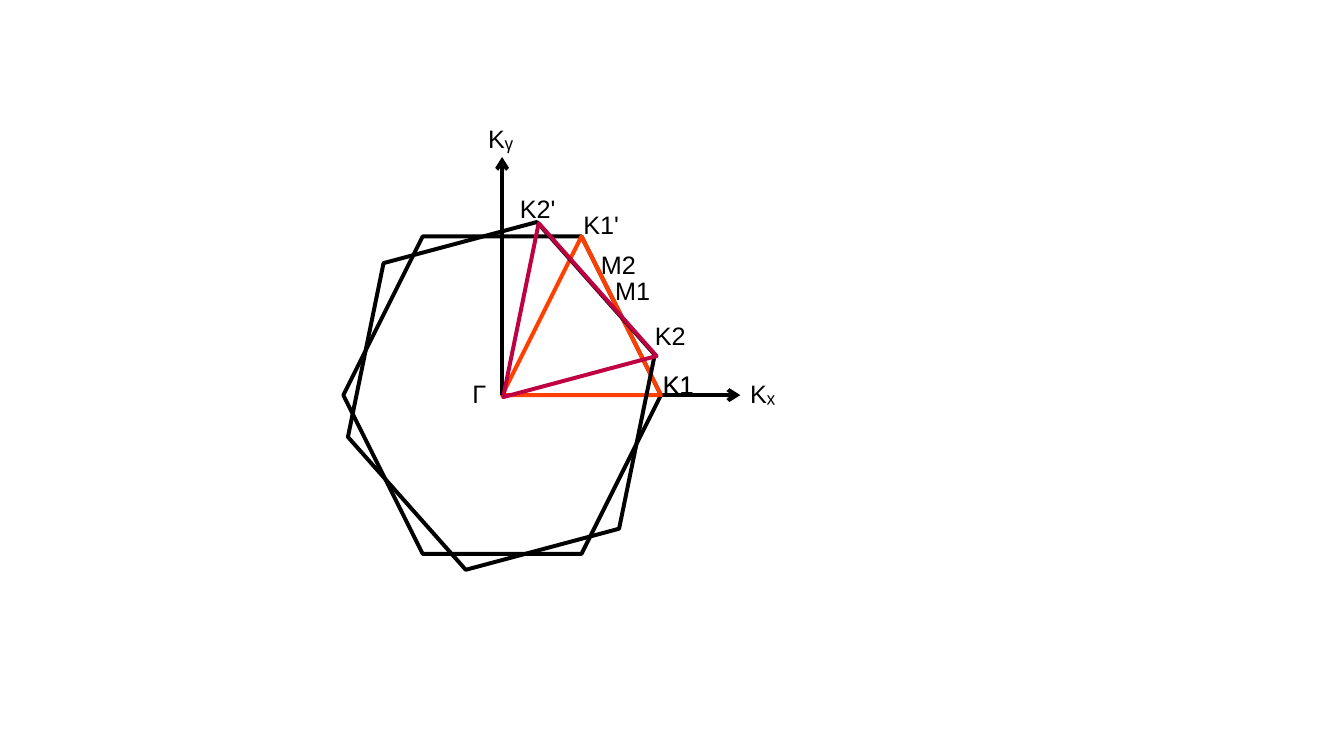
from lxml.etree import SubElement
from pptx import Presentation
from pptx.dml.color import RGBColor
from pptx.enum.shapes import MSO_CONNECTOR
from pptx.enum.text import MSO_AUTO_SIZE as AutoSize
from pptx.oxml.ns import qn
from pptx.util import Inches, Pt

BLACK = RGBColor(0x00, 0x00, 0x00)
ORANGE = RGBColor(0xFF, 0x40, 0x00)
CRIMSON = RGBColor(0xBF, 0x00, 0x41)

# Grid: origin at the gamma point, each hexagon spans four cells.
ORIGIN_X, ORIGIN_Y = Inches(4.98), Inches(3.92)
CELL = Inches(3.15) / 4
STROKE = Pt(2.83)
TWIST = -15

# Outlines as shares of their bounding square.
HEXAGON = [(0.25, 0), (0.75, 0), (1, 0.5), (0.75, 1), (0.25, 1), (0, 0.5)]
TRIANGLE = [(0.5, 0), (1, 1), (0, 1)]

AXIS_SIZE = (0.6, 0.48)
GAMMA_SIZE = (0.5, 0.48)
K_SIZE = (0.7, 0.84)
WIDE_SIZE = (0.8, 0.84)

# Text, column, row, size in cells.
FIRST_LABELS = [
    ("Kₓ", 3, -0.28, AXIS_SIZE),
    ("Kᵧ", -0.3, -3.49, AXIS_SIZE),
    ("Γ", -0.5, -0.28, GAMMA_SIZE),
    ("K1", 1.9, -0.39, K_SIZE),
    ("K1ʹ", 0.9, -2.4, WIDE_SIZE),
    ("M1", 1.3, -1.57, WIDE_SIZE),
]
TWISTED_LABELS = [
    ("K2", 1.8, -1, K_SIZE),
    ("K1", 1.9, -0.39, K_SIZE),
    ("M2", 1.12, -1.9, WIDE_SIZE),
    ("K2ʹ", 0.1, -2.6, WIDE_SIZE),
]


def place(column, row):
    """Turn grid coordinates into slide coordinates."""
    return round(ORIGIN_X + column * CELL), round(ORIGIN_Y + row * CELL)


def add_axis(page, column, row):
    """Draw an arrow from the origin to a grid point."""
    axis = page.shapes.add_connector(
        MSO_CONNECTOR.STRAIGHT, *place(0, 0), *place(column, row))
    axis.line.color.rgb = BLACK
    axis.line.width = STROKE
    SubElement(axis.line._get_or_add_ln(), qn("a:tailEnd"), type="arrow")
    SubElement(axis._element.spPr, qn("a:effectLst"))


def add_outline(page, corners, column, row, size, color, angle=0):
    """Draw an unfilled polygon in a square of the given size in cells."""
    points = [place(column + x * size, row + y * size) for x, y in corners]
    builder = page.shapes.build_freeform(*points[0])
    builder.add_line_segments(points[1:], close=True)
    outline = builder.convert_to_shape()
    outline.shadow.inherit = False
    outline.fill.background()
    outline.line.color.rgb = color
    outline.line.width = STROKE
    outline.rotation = angle


def add_label(page, text, column, row, size):
    """Write a one-line label whose box starts at a grid point."""
    width, height = (round(share * CELL) for share in size)
    box = page.shapes.add_textbox(*place(column, row), width, height)
    frame = box.text_frame
    frame.word_wrap = False
    frame.auto_size = AutoSize.SHAPE_TO_FIT_TEXT
    span = frame.paragraphs[0].add_run()
    span.text = text
    span.font.name = "Arial"
    span.font.size = Pt(18)
    span.font.color.rgb = BLACK


def main():
    """Build the two Brillouin zones with their axes and labels."""
    deck = Presentation()
    deck.slide_width, deck.slide_height = Inches(13.33), Inches(7.5)
    page = deck.slides.add_slide(deck.slide_layouts[6])

    add_axis(page, 3, 0)
    add_outline(page, HEXAGON, -2, -2, 4, BLACK)
    add_outline(page, TRIANGLE, 0, -2, 2, ORANGE)
    add_axis(page, 0, -3)
    for label in FIRST_LABELS:
        add_label(page, *label)

    add_outline(page, HEXAGON, -2.01, -1.99, 4, BLACK, TWIST)
    add_outline(page, TRIANGLE, -0.28, -2.2, 2, CRIMSON, TWIST)
    for label in TWISTED_LABELS:
        add_label(page, *label)

    deck.save("out.pptx")


main()
